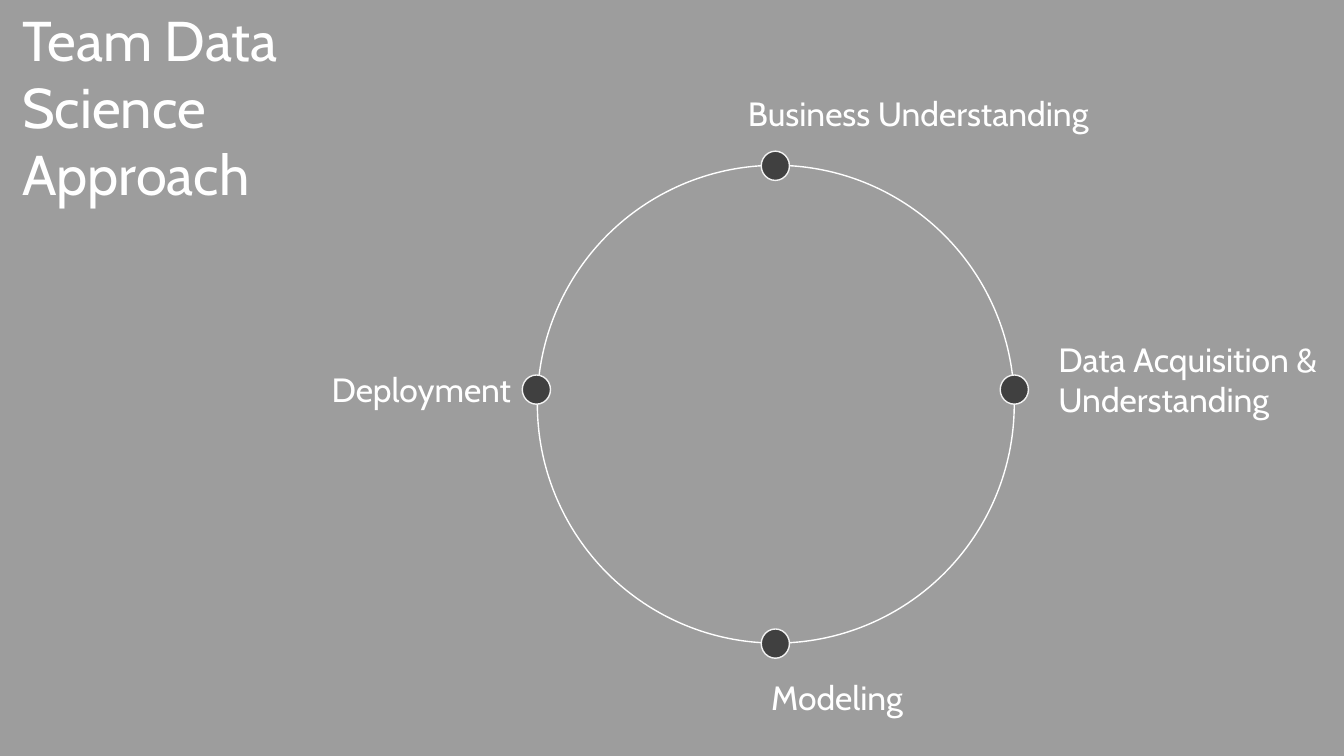
import pptx
import pptx.util
import pptx.dml.color
import pptx.enum.shapes
import pptx.enum.text
import lxml.etree

Inches = pptx.util.Inches
Pt = pptx.util.Pt
RGBColor = pptx.dml.color.RGBColor
MSO_SHAPE = pptx.enum.shapes.MSO_SHAPE

WHITE = RGBColor(0xFF, 0xFF, 0xFF)
VEIL_GRAY = RGBColor(0x80, 0x80, 0x80)
DOT_FILL = RGBColor(0x40, 0x40, 0x40)
DOT_LINE = RGBColor(0xF2, 0xF2, 0xF2)
FONT = "Cabin"


def add_shape(kind, left, top, width, height, fill=None, line=None):
    sp = s.shapes.add_shape(kind, Inches(left), Inches(top), Inches(width), Inches(height))
    sp.shadow.inherit = False
    if fill is None:
        sp.fill.background()
    else:
        sp.fill.solid()
        sp.fill.fore_color.rgb = fill
    if line is None:
        sp.line.fill.background()
    else:
        sp.line.color.rgb = line
        sp.line.width = Pt(1)
    return sp


def write_text(sp, text, size):
    tf = sp.text_frame
    tf.text = text
    tf.word_wrap = True
    tf.auto_size = pptx.enum.text.MSO_AUTO_SIZE.NONE
    tf.vertical_anchor = pptx.enum.text.MSO_ANCHOR.TOP
    for p in tf.paragraphs:
        p.alignment = pptx.enum.text.PP_ALIGN.LEFT
        p.font.name = FONT
        p.font.size = Pt(size)
        p.font.color.rgb = WHITE


prs = pptx.Presentation()
prs.slide_width = Inches(13.33)
prs.slide_height = Inches(7.5)
s = prs.slides.add_slide(prs.slide_layouts[5])

title = s.shapes.title
title.left, title.top = Inches(0.12), Inches(0)
title.width, title.height = Inches(3.75), Inches(2.12)
write_text(title, "Team Data Science\nApproach", 40)

veil = add_shape(MSO_SHAPE.RECTANGLE, 0, 0, 13.33, 7.5, fill=VEIL_GRAY)
color = veil.element.spPr.find(".//" + pptx.oxml.ns.qn("a:srgbClr"))
lxml.etree.SubElement(color, pptx.oxml.ns.qn("a:alpha")).set("val", "77000")
title.element.addprevious(veil.element)

add_shape(MSO_SHAPE.OVAL, 5.33, 1.64, 4.73, 4.74, line=WHITE)

stages = [
    ("Business Understanding", 7.55, 1.5, 7.32, 0.87, 5.01, 0.5),
    ("Data Acquisition & Understanding", 9.92, 3.72, 10.4, 3.31, 2.93, 0.91),
    ("Modeling", 7.55, 6.24, 7.55, 6.67, 4.28, 0.5),
    ("Deployment", 5.18, 3.72, 3.19, 3.61, 4.28, 0.5),
]
for name, dot_left, dot_top, left, top, width, height in stages:
    add_shape(MSO_SHAPE.OVAL, dot_left, dot_top, 0.28, 0.29, fill=DOT_FILL, line=DOT_LINE)
    label = s.shapes.add_textbox(Inches(left), Inches(top), Inches(width), Inches(height))
    write_text(label, name, 24)

prs.save("out.pptx")
